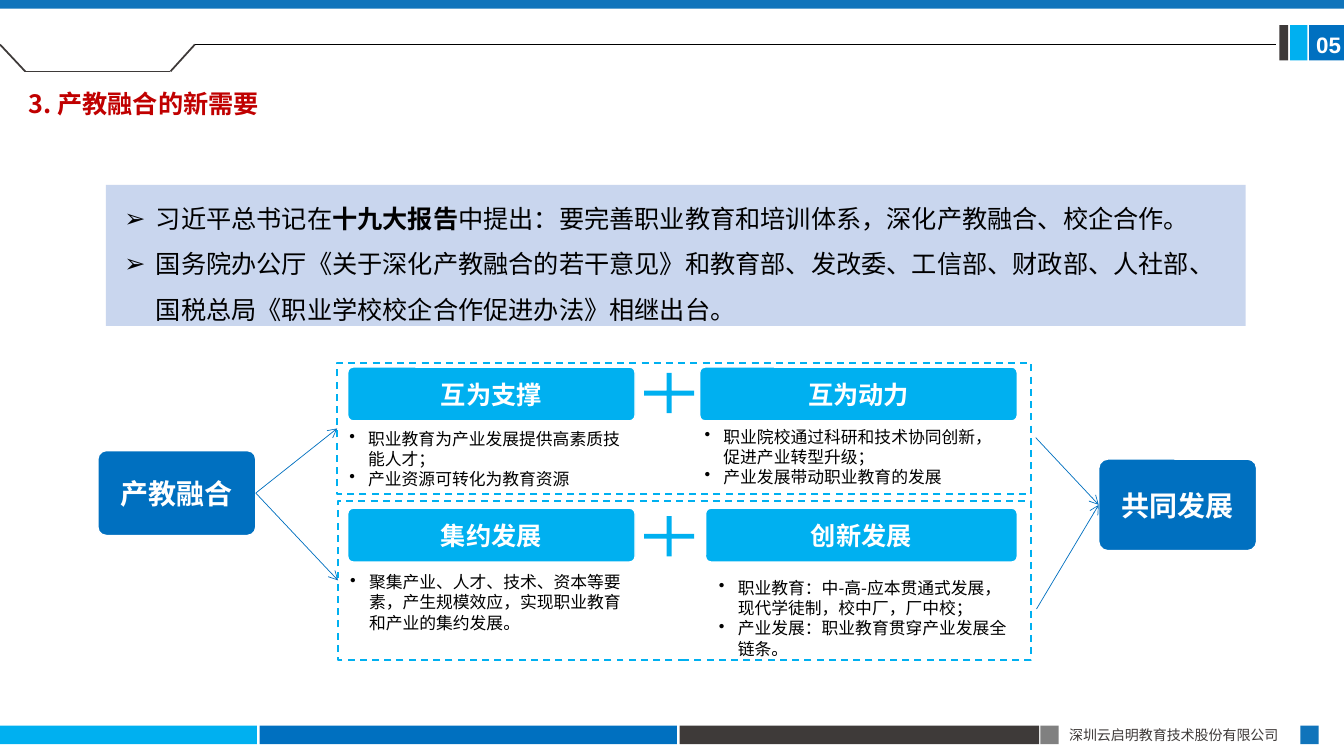
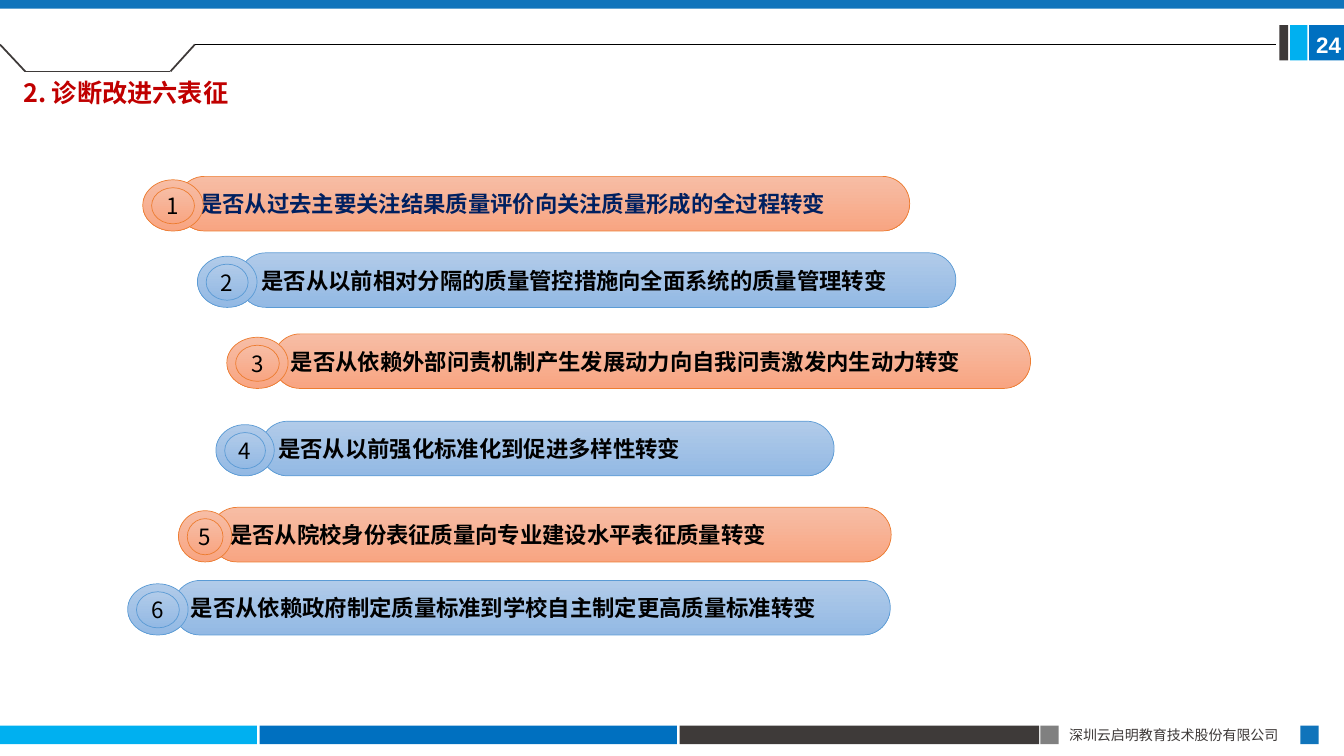
from lxml import etree
from pptx import Presentation
from pptx.dml.color import RGBColor
from pptx.enum.dml import MSO_LINE
from pptx.enum.shapes import MSO_CONNECTOR, MSO_SHAPE
from pptx.enum.text import MSO_ANCHOR, MSO_AUTO_SIZE, PP_ALIGN
from pptx.oxml.ns import qn
from pptx.util import Inches, Pt

RECT, ROUND = MSO_SHAPE.RECTANGLE, MSO_SHAPE.ROUNDED_RECTANGLE
OVAL, PLUS = MSO_SHAPE.OVAL, MSO_SHAPE.MATH_PLUS
STRAIGHT, DASH = MSO_CONNECTOR.STRAIGHT, MSO_LINE.DASH
LEFT, CENTER = PP_ALIGN.LEFT, PP_ALIGN.CENTER
TOP, MIDDLE = MSO_ANCHOR.TOP, MSO_ANCHOR.MIDDLE
NO_FIT = MSO_AUTO_SIZE.NONE
LEFT_SIDE, RIGHT_SIDE = 1, 3

SKY = RGBColor(0x00, 0xB0, 0xF0)
BLUE = RGBColor(0x00, 0x70, 0xC0)
BAND = RGBColor(0x10, 0x74, 0xBB)
DARK = RGBColor(0x3E, 0x3A, 0x39)
GREY = RGBColor(0x80, 0x80, 0x80)
RED = RGBColor(0xC0, 0x00, 0x00)
NAVY = RGBColor(0x00, 0x20, 0x60)
PALE = RGBColor(0x8F, 0xAA, 0xDC)
BLACK = RGBColor(0x00, 0x00, 0x00)
WHITE = RGBColor(0xFF, 0xFF, 0xFF)
ORANGE_SHADE = [RGBColor(0xF7, 0xBD, 0xA5), RGBColor(0xF8, 0xA5, 0x82)]
ORANGE_EDGE = RGBColor(0xED, 0x7D, 0x31)
BLUE_SHADE = [RGBColor(0xB1, 0xCB, 0xE9), RGBColor(0x93, 0xB9, 0xE4)]
BLUE_EDGE = RGBColor(0x5B, 0x9B, 0xD5)
HAN = "Noto Sans CJK SC"

COLUMNS = 160
prs = Presentation()
prs.slide_width, prs.slide_height = Inches(40 / 3), Inches(7.5)
CELL = prs.slide_width / COLUMNS


def place(slide, kind, area, fill, edge=None, weight=1, corner=None):
    shape = slide.shapes.add_shape(kind, *[round(n * CELL) for n in area])
    shape.shadow.inherit = False
    if corner is not None:
        shape.adjustments[0] = corner
    if isinstance(fill, list):
        shape.fill.gradient()
        shape.fill.gradient_angle = 270
        for stop, colour in zip(shape.fill.gradient_stops, fill):
            stop.color.rgb = colour
    else:
        shape.fill.solid()
        shape.fill.fore_color.rgb = fill
    if edge is None:
        shape.line.fill.background()
    else:
        shape.line.color.rgb = edge
        shape.line.width = Pt(weight)
    return shape


def write(holder, lines, size, colour, bold=False, align=LEFT, anchor=TOP,
          insets=(1.2, 0.6, 1.2, 0.6), bullet=None, hang=0, spacing=1, font=HAN):
    frame = holder.text_frame
    frame.word_wrap = True
    frame.auto_size = NO_FIT
    frame.vertical_anchor = anchor
    (frame.margin_left, frame.margin_top,
     frame.margin_right, frame.margin_bottom) = [round(n * CELL) for n in insets]
    frame.text = "\n".join(lines)
    for paragraph, line in zip(frame.paragraphs, lines):
        paragraph.alignment = align
        paragraph.line_spacing = spacing
        paragraph.space_before = Pt(0)
        if bullet:
            props = paragraph._p.get_or_add_pPr()
            props.set("marL", str(round(hang * CELL)))
            props.set("indent", str(-round(hang * CELL)))
            etree.SubElement(props, qn("a:buChar"), char=bullet)
        parts = line.split("*")
        paragraph.runs[0].text = parts[0]
        for part in parts[1:]:
            paragraph.add_run().text = part
        for index, run in enumerate(paragraph.runs):
            run.font.size = Pt(size)
            run.font.bold = bold or index % 2 == 1
            run.font.color.rgb = colour
            run.font.name = font
            etree.SubElement(run.font._element, qn("a:ea"), typeface=HAN)


fusion = prs.slides.add_slide(prs.slide_layouts[1])
signs = prs.slides.add_slide(prs.slide_layouts[5])
connectors = []

for area, colour in [
    ((0, 86.4, 30.6, 2.2), SKY),
    ((30.9, 86.4, 49.7, 2.2), BLUE),
    ((80.9, 86.4, 42.8, 2.2), DARK),
    ((123.85, 86.4, 2.2, 2.2), GREY),
    ((154.8, 86.4, 2.2, 2.2), BAND),
    ((155.85, 3, 4.15, 4.2), BLUE),
    ((153.6, 3, 2.05, 4.2), SKY),
    ((152.3, 3, 1.05, 4.2), DARK),
    ((0, 0, COLUMNS, 1.05), BAND),
]:
    place(fusion, RECT, area, colour)

notch = [(0, 5.3), (3, 8.5), (20.3, 8.5), (23.2, 5.3), (151.9, 5.3)]
for start, end in zip(notch, notch[1:]):
    edge = fusion.shapes.add_connector(STRAIGHT, *[round(n * CELL) for n in start + end])
    is_rule = end == notch[-1]
    edge.line.color.rgb = BLACK if is_rule else DARK
    edge.line.width = Pt(0.5 if is_rule else 1.25)
    connectors.append(edge)

company = fusion.shapes.add_textbox(*[round(n * CELL) for n in (126.1, 85.9, 28.8, 3.2)])
write(company, ["深圳云启明教育技术股份有限公司"], 10, DARK)

master_tree = prs.slide_master.shapes.element
frame_parts = [part for part in fusion.shapes if not part.is_placeholder]
for number, part in enumerate(frame_parts, 100):
    part.element.xpath(".//p:cNvPr")[0].set("id", str(number))
    master_tree.append(part.element)

for slide, heading, page, corner, spacing in [
    (fusion, "3. 产教融合的新需要", "05", (2.2, 8.16), 1.5),
    (signs, "2. 诊断改进六表征", "24", (1.56, 8.64), 1),
]:
    title = slide.shapes.title
    title.left, title.top, title.width, title.height = [
        round(n * CELL) for n in corner + (36, 6.7)]
    write(title, [heading], 18, RED, bold=True, spacing=spacing)
    page_number = slide.shapes.add_textbox(
        *[round(n * CELL) for n in (155.5, 3.1, 4.5, 4.4)])
    write(page_number, [page], 16, WHITE, bold=True, insets=(1.2, 0.6, 0, 0.6), font="Arial")

policy = fusion.placeholders[1]
policy.left, policy.top, policy.width, policy.height = [
    round(n * CELL) for n in (12.6, 22, 135.7, 16.8)]
policy.fill.solid()
policy.fill.fore_color.rgb = PALE
tint = policy.element.spPr.find(qn("a:solidFill"))[0]
etree.SubElement(tint, qn("a:alpha"), val="48000")
write(policy, [
    "习近平总书记在*十九大报告*中提出：要完善职业教育和培训体系，深化产教融合、校企合作。",
    "国务院办公厅《关于深化产教融合的若干意见》和教育部、发改委、工信部、财政部、人社部、国税总局《职业学校校企合作促进办法》相继出台。",
], 18, BLACK, insets=(2.2, 0.4, 1.5, 0), bullet="➢", hang=3.75, spacing=1.5, font="Calibri")

ends = []
for label, area in [("产教融合", (11.65, 53.65, 18.8, 10.1)),
                    ("共同发展", (130.8, 54.65, 18.8, 10.9))]:
    end = place(fusion, ROUND, area, BLUE, WHITE, corner=0.1)
    write(end, [label], 20, WHITE, bold=True, align=CENTER, anchor=MIDDLE)
    ends.append(end)
source, goal = ends

groups = []
for area, head_top, plus_top, topics in [
    ((40.15, 43.2, 82.6, 15.6), 43.7, 43.55, [
        ("互为支撑", 41.4, 34.2, (40.4, 50.4, 35.2, 8.5),
         ["职业教育为产业发展提供高素质技能人才；", "产业资源可转化为教育资源"]),
        ("互为动力", 83.3, 37.8, (82.7, 50.15, 38.4, 8.5),
         ["职业院校通过科研和技术协同创新，促进产业转型升级；", "产业发展带动职业教育的发展"]),
    ]),
    ((40.25, 59.65, 82.5, 18.9), 60.5, 60.6, [
        ("集约发展", 41.4, 34.2, (40.5, 67.5, 35.2, 8.5),
         ["聚集产业、人才、技术、资本等要素，产生规模效应，实现职业教育和产业的集约发展。"]),
        ("创新发展", 84, 37.1, (84.4, 68.2, 37.6, 10.9),
         ["职业教育：中-高-应本贯通式发展，现代学徒制，校中厂，厂中校；",
          "产业发展：职业教育贯穿产业发展全链条。"]),
    ]),
]:
    group = place(fusion, RECT, area, WHITE, SKY, 1.25)
    group.line.dash_style = DASH
    groups.append(group)
    for label, left, width, details_area, details in topics:
        topic = place(fusion, ROUND, (left, head_top, width, 6.4), SKY, WHITE, corner=0.1)
        write(topic, [label], 18, WHITE, bold=True, align=CENTER, anchor=MIDDLE)
        detail_list = fusion.shapes.add_textbox(*[round(n * CELL) for n in details_area])
        write(detail_list, details, 12, BLACK, bullet="•", hang=2.25)
    place(fusion, PLUS, (75.6, plus_top, 8.1, 6.5), SKY, corner=0.09)

for group, exit_point in zip(groups, [(123.3, 52.1), (123.4, 72.5)]):
    outward = fusion.shapes.add_connector(STRAIGHT, 0, 0, 0, 0)
    outward.begin_connect(source, RIGHT_SIDE)
    outward.end_connect(group, LEFT_SIDE)
    inward = fusion.shapes.add_connector(
        STRAIGHT, *[round(n * CELL) for n in exit_point * 2])
    inward.end_connect(goal, LEFT_SIDE)
    for arrow in (outward, inward):
        arrow.line.color.rgb = BLUE
        arrow.line.width = Pt(0.5)
        etree.SubElement(arrow.element.spPr.find(qn("a:ln")), qn("a:tailEnd"), type="arrow")
        connectors.append(arrow)

for connector in connectors:
    etree.SubElement(connector.element.spPr, qn("a:effectLst"))

questions = [
    ("是否从过去主要关注结果质量评价向关注质量形成的全过程转变", 21.1, 21, 87.2, 17, 7.2, 1.8),
    ("是否从以前相对分隔的质量管控措施向全面系统的质量管理转变", 28.4, 30.1, 85.4, 23.5, 7.1, 1.8),
    ("是否从依赖外部问责机制产生发展动力向自我问责激发内生动力转变", 32.5, 39.75, 90.2, 27, 7.3, 1.2),
    ("是否从以前强化标准化到促进多样性转变", 31, 50.15, 68.3, 25.7, 6.95, 1.2),
    ("是否从院校身份表征质量向专业建设水平表征质量转变", 25, 60.4, 81.1, 21.25, 6.35, 1.45),
    ("是否从依赖政府制定质量标准到学校自主制定更高质量标准转变", 20.6, 69.1, 85.4, 15.2, 7.2, 1.2),
]
for number, (question, left, top, width, badge_left, badge_width, indent) in enumerate(questions, 1):
    shade, outline = (ORANGE_SHADE, ORANGE_EDGE) if number % 2 else (BLUE_SHADE, BLUE_EDGE)
    pill = place(signs, ROUND, (left, top, width, 6.5), shade, outline, 0.5, 0.5)
    write(pill, [question], 16, NAVY if number == 1 else BLACK, bold=True,
          anchor=MIDDLE, insets=(indent, 0.6, 0, 0.6))
    badge_top = top + 0.4
    place(signs, OVAL, (badge_left, badge_top, badge_width, 6.1), shade, outline, 0.5)
    ring = place(signs, OVAL, (badge_left + 1.05, badge_top + 0.95, badge_width - 2.1, 4.3),
                 shade, outline, 0.5)
    write(ring, [str(number)], 16, BLACK, align=CENTER, anchor=MIDDLE, insets=(0, 0, 0, 0))

prs.save("out.pptx")
